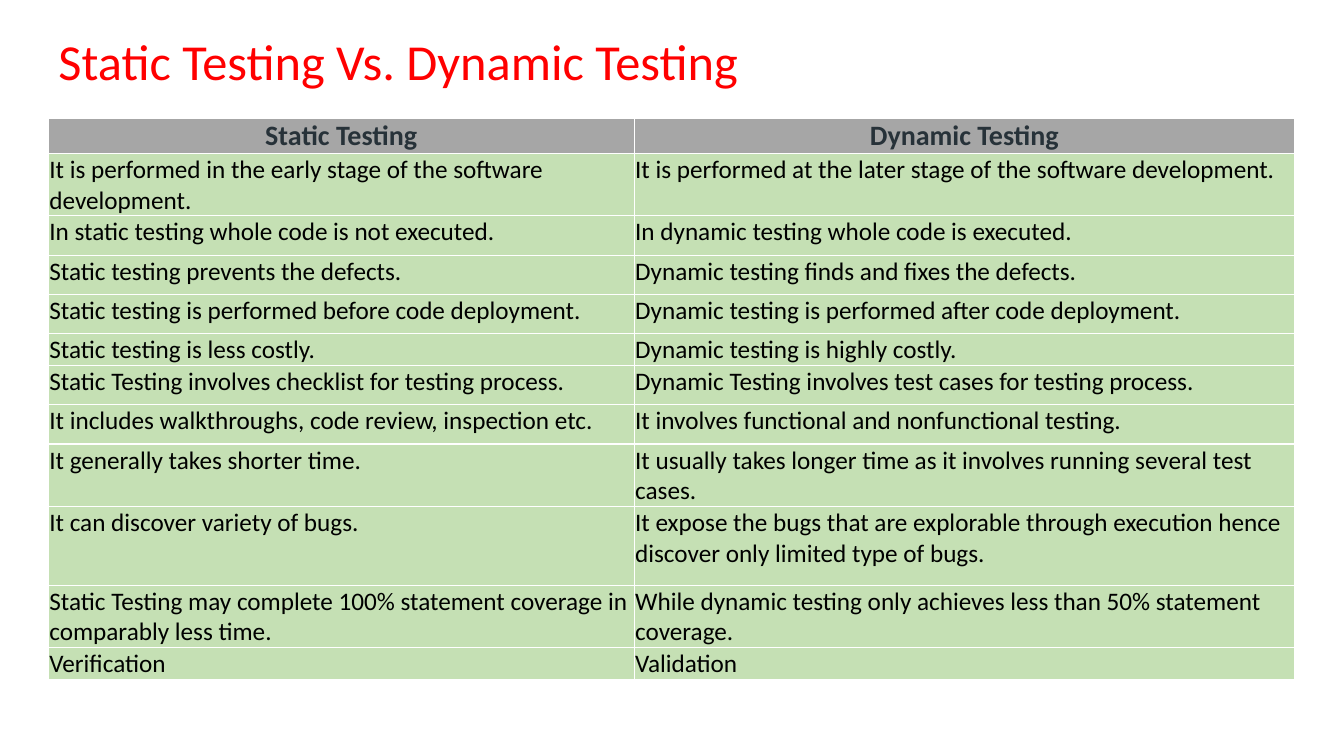
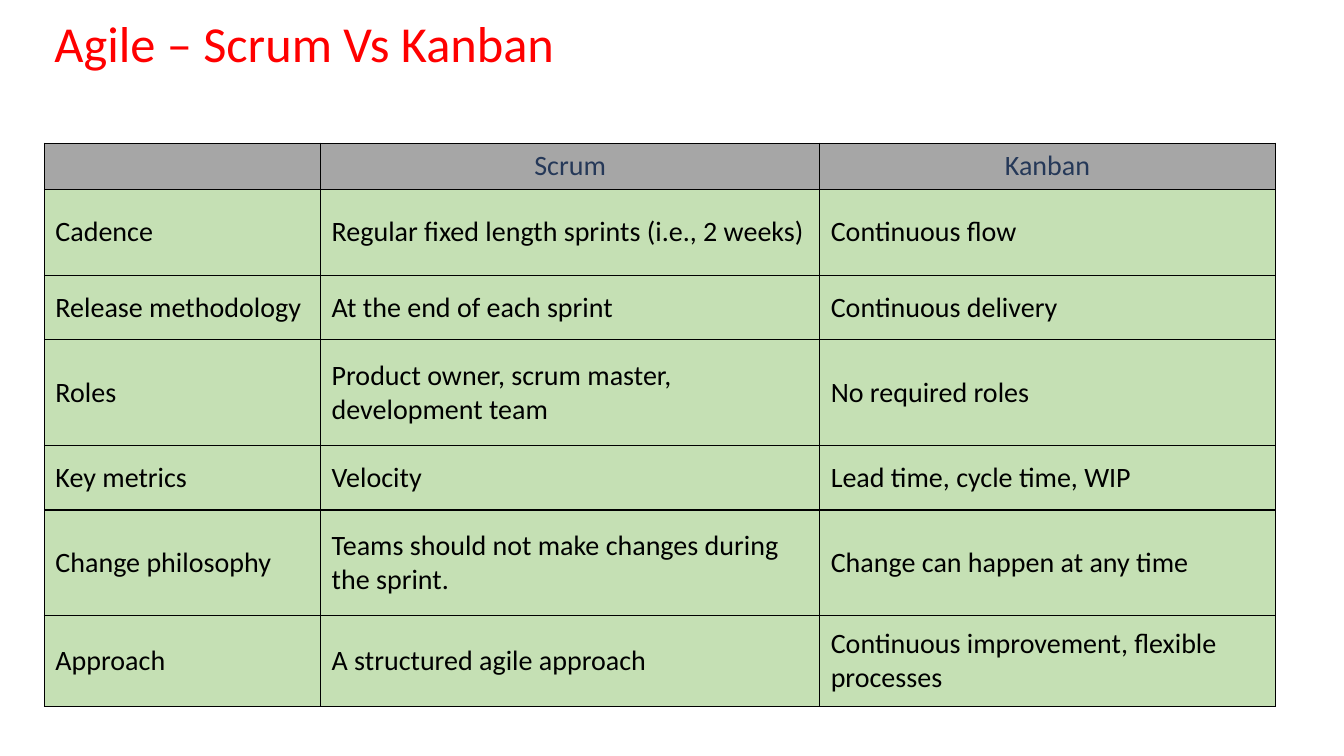
from pptx import Presentation
from pptx.dml.color import RGBColor
from pptx.enum.text import MSO_ANCHOR as Anchor, MSO_AUTO_SIZE as Fit, PP_ALIGN as Align
from pptx.oxml import parse_xml
from pptx.oxml.ns import nsdecls
from pptx.util import Emu, Pt

SCALE = 9144  # EMU in one px, 100 px to the inch
FONT = "Calibri"
RED, BLACK, WHITE = "FF0000", "000000", "FFFFFF"
GREY, GREEN = "A6A6A6", "C5E0B4"


def px(n):
    return Emu(n * SCALE)


def color(code):
    return RGBColor.from_string(code)


class Deck:
    """Holds the shared style and the current slide."""

    def __init__(self):
        self.file = Presentation()
        self.file.slide_width, self.file.slide_height = px(1333), px(750)
        self.slide = None

    def run(self, par, text, size, ink, bold=False):
        font = (run := par.add_run()).font
        run.text = text
        font.name, font.size, font.bold = FONT, Pt(size), bold
        font.color.rgb = color(ink)

    def page(self, title, left, top, width, height):
        """Start a slide with a red title."""
        self.slide = self.file.slides.add_slide(self.file.slide_layouts[5])
        head = self.slide.shapes.title
        head.left, head.top, head.width, head.height = map(px, (left, top, width, height))
        frame = head.text_frame
        frame.auto_size, frame.word_wrap = Fit.NONE, True
        frame.vertical_anchor = Anchor.MIDDLE
        par = frame.paragraphs[0]
        par.alignment, par.line_spacing, par.space_before = Align.LEFT, 0.9, Pt(10)
        self.run(par, title, 36, RED)

    def edges(self, cell, ink):
        """Draw a 1 pt line on each side of a cell; call before the fill."""
        props = cell._tc.get_or_add_tcPr()
        for side in "LRTB":
            props.append(parse_xml(
                f'<a:ln{side} {nsdecls("a")} w="12700"><a:solidFill>'
                f'<a:srgbClr val="{ink}"/></a:solidFill></a:ln{side}>'))

    def cell(self, cell, text, pad, fill, line, size, ink, bold, align, anchor):
        self.edges(cell, line)
        cell.fill.solid()
        cell.fill.fore_color.rgb = color(fill)
        cell.margin_left, cell.margin_top, cell.margin_right, cell.margin_bottom = map(px, pad)
        cell.vertical_anchor = anchor
        par = cell.text_frame.paragraphs[0]
        par.alignment = align
        if text:
            self.run(par, text, size, ink, bold)

    def table(self, left, top, cols, rows, lines, line, body, head=None):
        """Add a table; body and head are dicts of cell style."""
        grid = self.slide.shapes.add_table(
            len(rows), len(cols), px(left), px(top), px(sum(cols)), px(sum(rows))).table
        grid.first_row, grid.horz_banding = head is not None, False
        for col, width in zip(grid.columns, cols):
            col.width = px(width)
        for i, (row, height, texts) in enumerate(zip(grid.rows, rows, lines)):
            row.height = px(height)
            style = head if head and i == 0 else body
            for cell, text in zip(row.cells, texts):
                self.cell(cell, text, line=line, **style)


def style(pad, fill, size, ink, bold=False, align=Align.LEFT, anchor=Anchor.TOP):
    return dict(pad=pad, fill=fill, size=size, ink=ink, bold=bold, align=align, anchor=anchor)


TESTS = [
    ("Static Testing", "Dynamic Testing"),
    ("It is performed in the early stage of the software development.",
     "It is performed at the later stage of the software development."),
    ("In static testing whole code is not executed.",
     "In dynamic testing whole code is executed."),
    ("Static testing prevents the defects.",
     "Dynamic testing finds and fixes the defects."),
    ("Static testing is performed before code deployment.",
     "Dynamic testing is performed after code deployment."),
    ("Static testing is less costly.", "Dynamic testing is highly costly."),
    ("Static Testing involves checklist for testing process.",
     "Dynamic Testing involves test cases for testing process."),
    ("It includes walkthroughs, code review, inspection etc.",
     "It involves functional and nonfunctional testing."),
    ("It generally takes shorter time.",
     "It usually takes longer time as it involves running several test cases."),
    ("It can discover variety of bugs.",
     "It expose the bugs that are explorable through execution hence "
     "discover only limited type of bugs."),
    ("Static Testing may complete 100% statement coverage in comparably less time.",
     "While dynamic testing only achieves less than 50% statement coverage."),
    ("Verification", "Validation"),
]

AGILE = [
    ("", "Scrum", "Kanban"),
    ("Cadence", "Regular fixed length sprints (i.e., 2 weeks)", "Continuous flow"),
    ("Release methodology", "At the end of each sprint", "Continuous delivery"),
    ("Roles", "Product owner, scrum master, development team", "No required roles"),
    ("Key metrics", "Velocity", "Lead time, cycle time, WIP"),
    ("Change philosophy", "Teams should not make changes during the sprint.",
     "Change can happen at any time"),
]
LAST = [("Approach", "A structured agile approach",
         "Continuous improvement, flexible processes")]


def main():
    deck = Deck()

    # Static and dynamic testing
    tight = (1, 1, 1, 0)
    deck.page("Static Testing Vs. Dynamic Testing", 48, 25, 876, 77)
    deck.table(48, 117, [581, 655], [34, 62, 39, 39, 39, 31, 39, 39, 62, 78, 62, 31],
               TESTS, WHITE, style(tight, GREEN, 18, BLACK),
               style(tight, GREY, 20, "273239", True, Align.CENTER))

    # Scrum and Kanban: main table, then its last row as a table below
    cols, rows = [274, 495, 452], [46, 85, 64, 105, 64, 105]
    body = style((11,) * 4, GREEN, 20, BLACK, anchor=Anchor.MIDDLE)
    deck.page("Agile – Scrum Vs Kanban", 44, 9, 622, 74)
    deck.table(44, 142, cols, rows, AGILE, BLACK, body,
               style((6,) * 4, GREY, 20, "253858", align=Align.CENTER))
    deck.table(44, 142 + sum(rows), cols, [90], LAST, BLACK, body)

    deck.file.save("out.pptx")


if __name__ == "__main__":
    main()
